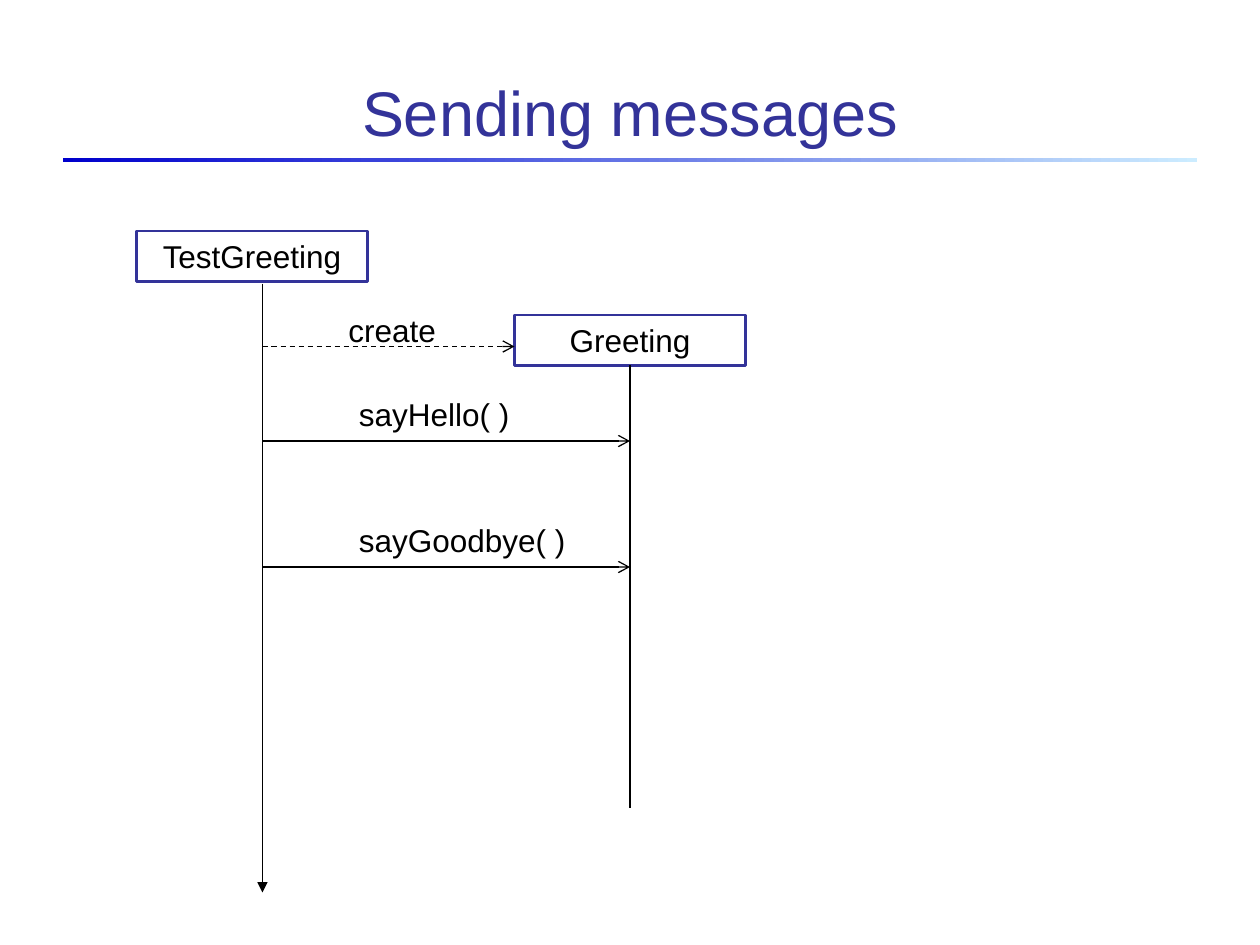
"""Build a sequence diagram slide about sending messages."""
from dataclasses import dataclass

from lxml import etree
from pptx import Presentation
from pptx import util as u
from pptx.dml.color import RGBColor
from pptx.enum import dml, shapes, text
from pptx.oxml.ns import qn

WIDTH, HEIGHT = u.Inches(10), u.Inches(7.5)
COLUMNS, ROWS = 120, 90
BOX_WIDTH, BOX_HEIGHT = 22, 4.8
CALLER, RECEIVER = 25, 60
NAVY, BLACK, BLUE, PALE = "333399", "000000", "0000CC", "CCECFF"


@dataclass
class Participant:
    name: str
    column: float
    row: float


@dataclass
class Message:
    label: str
    row: float
    target: float
    label_column: float
    label_row: float
    label_width: float = BOX_WIDTH
    dashed: bool = False


PARTICIPANTS = [Participant("TestGreeting", 13, 22), Participant("Greeting", 49, 30)]
MESSAGES = [
    Message("create", 33, 49, 32, 29, dashed=True),
    Message("sayHello( )", 42, RECEIVER, 33, 37),
    Message("sayGoodbye( )", 54, RECEIVER, 33, 49, label_width=24),
]


def across(columns: float) -> int:
    return round(WIDTH * columns / COLUMNS)


def down(rows: float) -> int:
    return round(HEIGHT * rows / ROWS)


def color(value: str) -> RGBColor:
    return RGBColor.from_string(value)


def write(shape, words: str, size: float, ink: str, align) -> None:
    frame = shape.text_frame
    frame.text = words
    frame.word_wrap = True
    paragraph = frame.paragraphs[0]
    paragraph.alignment = align
    font = paragraph.runs[0].font
    font.name, font.size = "Arial", u.Pt(size)
    font.color.rgb = color(ink)


def add_title(slide, words: str) -> None:
    title = slide.shapes.title
    title.left, title.top = across(8), down(3.4)
    title.width, title.height = across(104), down(11.4)
    write(title, words, 36, NAVY, text.PP_ALIGN.CENTER)
    title.text_frame.auto_size = text.MSO_AUTO_SIZE.NONE
    title.text_frame.vertical_anchor = text.MSO_ANCHOR.BOTTOM


def add_rule(slide) -> None:
    rule = slide.shapes.add_shape(
        shapes.MSO_SHAPE.RECTANGLE, across(6), down(15), across(108), down(0.4))
    rule.shadow.inherit = False
    rule.line.fill.background()
    rule.fill.gradient()
    rule.fill.gradient_angle = 0
    for stop, shade in zip(rule.fill.gradient_stops, (BLUE, PALE)):
        stop.color.rgb = color(shade)


def add_participant(slide, participant: Participant):
    box = slide.shapes.add_shape(
        shapes.MSO_SHAPE.RECTANGLE, across(participant.column), down(participant.row),
        across(BOX_WIDTH), down(BOX_HEIGHT))
    box.shadow.inherit = False
    box.fill.background()
    box.line.color.rgb = color(NAVY)
    box.line.width = u.Pt(1.5)
    write(box, participant.name, 18, BLACK, text.PP_ALIGN.CENTER)
    return box


def add_line(slide, start: tuple, end: tuple, head: str = "", dashed: bool = False):
    line = slide.shapes.add_connector(
        shapes.MSO_CONNECTOR.STRAIGHT, across(start[0]), down(start[1]),
        across(end[0]), down(end[1]))
    line.line.color.rgb = color(BLACK)
    line.line.width = u.Pt(0.75)
    if dashed:
        line.line.dash_style = dml.MSO_LINE.DASH
    if head:
        etree.SubElement(line.line._get_or_add_ln(), qn("a:tailEnd"), type=head)
    etree.SubElement(line._element.spPr, qn("a:effectLst"))
    return line


def add_message(slide, message: Message) -> None:
    add_line(slide, (CALLER, message.row), (message.target, message.row),
             "arrow", message.dashed)
    label = slide.shapes.add_textbox(
        across(message.label_column), down(message.label_row),
        across(message.label_width), down(BOX_HEIGHT))
    write(label, message.label, 18, BLACK, text.PP_ALIGN.LEFT)


def main() -> None:
    presentation = Presentation()
    presentation.slide_width, presentation.slide_height = WIDTH, HEIGHT
    slide = presentation.slides.add_slide(presentation.slide_layouts[5])
    add_rule(slide)
    add_title(slide, "Sending messages")
    boxes = [add_participant(slide, participant) for participant in PARTICIPANTS]
    add_line(slide, (CALLER, 27), (CALLER, 85), "triangle")
    lifeline = add_line(slide, (RECEIVER, 35), (RECEIVER, 77))
    lifeline.begin_connect(boxes[1], 2)
    for message in MESSAGES:
        add_message(slide, message)
    presentation.save("out.pptx")


if __name__ == "__main__":
    main()
